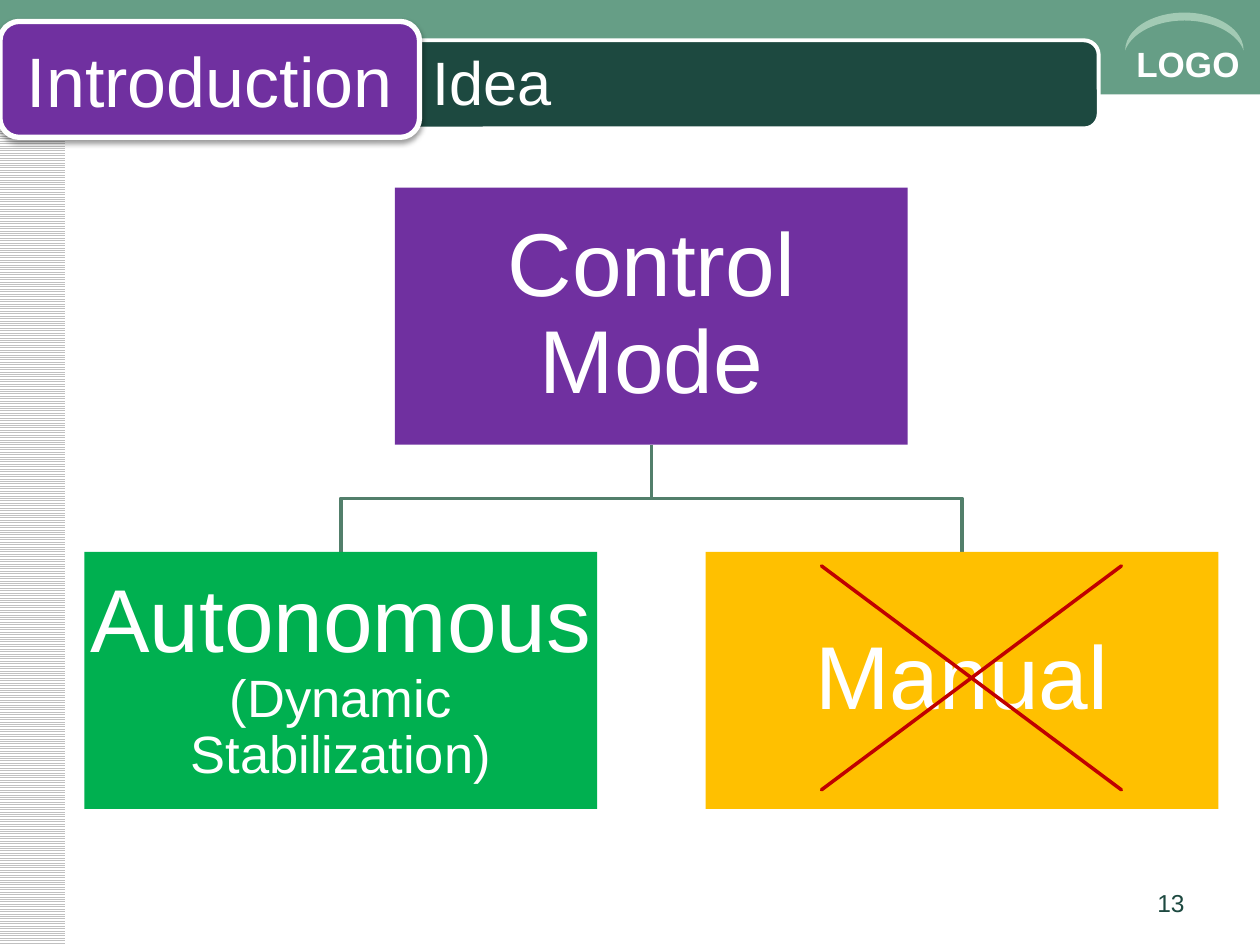
from dataclasses import dataclass

from lxml import etree
from pptx import Presentation
from pptx.dml.color import RGBColor
from pptx.enum.dml import MSO_PATTERN
from pptx.enum.shapes import MSO_SHAPE
from pptx.enum.text import MSO_ANCHOR, PP_ALIGN
from pptx.oxml.ns import qn
from pptx.shapes.autoshape import Shape
from pptx.slide import Slide
from pptx.util import Inches, Pt

RECTANGLE = MSO_SHAPE.RECTANGLE
ROUNDED = MSO_SHAPE.ROUNDED_RECTANGLE
MOON = MSO_SHAPE.MOON
MULTIPLY = MSO_SHAPE.MATH_MULTIPLY
LIGHT_HORIZONTAL = MSO_PATTERN.LIGHT_HORIZONTAL
MIDDLE = MSO_ANCHOR.MIDDLE
TOP = MSO_ANCHOR.TOP
LEFT, CENTER, RIGHT = PP_ALIGN.LEFT, PP_ALIGN.CENTER, PP_ALIGN.RIGHT


@dataclass(frozen=True)
class Theme:
    font: str = "Arial"
    white: str = "FFFFFF"
    stripe: str = "C0C0C0"
    banner: str = "669E86"
    dark: str = "1D4940"
    crescent: str = "A2CAB4"
    branch: str = "527F6B"
    purple: str = "7030A0"
    green: str = "00B050"
    amber: str = "FFC000"
    red: str = "C00000"
    node_size: int = 51
    detail_size: int = 30
    section_size: int = 40
    title_size: int = 35
    logo_size: int = 20
    number_size: int = 14


@dataclass(frozen=True)
class Box:
    left: float
    top: float
    width: float
    height: float

    @property
    def center(self) -> float:
        return self.left + self.width / 2

    @property
    def bottom(self) -> float:
        return self.top + self.height

    def emu(self) -> tuple[int, ...]:
        return tuple(Inches(v) for v in (self.left, self.top, self.width, self.height))


@dataclass(frozen=True)
class Node:
    label: str
    color: str
    box: Box
    detail: str = ""


THEME = Theme()
NODE_WIDTH, NODE_HEIGHT = 4.07, 2.04
CHILD_LEFT, CHILD_STEP = 0.67, 4.93
ROOT_TOP, CHILD_TOP = 1.49, 4.38

ROOT = Node("Control Mode", THEME.purple,
            Box(CHILD_LEFT + CHILD_STEP / 2, ROOT_TOP, NODE_WIDTH, NODE_HEIGHT))
CHILDREN = [
    Node(label, color,
         Box(CHILD_LEFT + i * CHILD_STEP, CHILD_TOP, NODE_WIDTH, NODE_HEIGHT), detail)
    for i, (label, color, detail) in enumerate([
        ("Autonomous", THEME.green, "(Dynamic Stabilization)"),
        ("Manual", THEME.amber, ""),
    ])
]


def rgb(color: str) -> RGBColor:
    return RGBColor.from_string(color)


def add_panel(slide: Slide, kind: MSO_SHAPE, box: Box, color: str,
              line: str = "", line_width: float = 0) -> Shape:
    panel = slide.shapes.add_shape(kind, *box.emu())
    panel.shadow.inherit = False
    panel.fill.solid()
    panel.fill.fore_color.rgb = rgb(color)
    if line:
        panel.line.color.rgb = rgb(line)
        panel.line.width = Pt(line_width)
    else:
        panel.line.fill.background()
    return panel


def write(shape: Shape, text: str, size: int, color: str = THEME.white,
          align: PP_ALIGN = CENTER, anchor: MSO_ANCHOR = MIDDLE, bold: bool = False) -> None:
    frame = shape.text_frame
    frame.word_wrap = True
    frame.vertical_anchor = anchor
    frame.text = text
    paragraph = frame.paragraphs[0]
    paragraph.alignment = align
    paragraph.font.name = THEME.font
    paragraph.font.size = Pt(size)
    paragraph.font.bold = bold
    paragraph.font.color.rgb = rgb(color)


def add_node(slide: Slide, node: Node) -> None:
    panel = add_panel(slide, RECTANGLE, node.box, node.color)
    write(panel, node.label, THEME.node_size)
    frame = panel.text_frame
    frame.margin_left = frame.margin_right = Inches(0.04)
    frame.margin_top = frame.margin_bottom = Inches(0.04)
    paragraph = frame.paragraphs[0]
    paragraph.line_spacing = 0.9
    if node.detail:
        paragraph.add_line_break()
        detail = paragraph.add_run()
        detail.text = node.detail
        detail.font.size = Pt(THEME.detail_size)


def add_branch(slide: Slide, parent: Box, child: Box) -> None:
    middle = (parent.bottom + child.top) / 2
    corners = [(parent.center, middle), (child.center, middle), (child.center, child.top)]
    builder = slide.shapes.build_freeform(Inches(parent.center), Inches(parent.bottom))
    builder.add_line_segments([(Inches(x), Inches(y)) for x, y in corners], close=False)
    branch = builder.convert_to_shape()
    branch.shadow.inherit = False
    branch.fill.background()
    branch.line.color.rgb = rgb(THEME.branch)
    branch.line.width = Pt(2)


def add_drop_shadow(shape: Shape) -> None:
    effects = shape.element.spPr.find(qn("a:effectLst"))
    shadow = etree.SubElement(effects, qn("a:outerShdw"), blurRad=str(Pt(3.1)),
                              dist=str(Pt(1.6)), dir="5400000", rotWithShape="0")
    black = etree.SubElement(shadow, qn("a:srgbClr"), val="000000")
    etree.SubElement(black, qn("a:alpha"), val="38000")


def add_frame(slide: Slide) -> None:
    stripes = add_panel(slide, RECTANGLE, Box(-0.01, 0, 0.53, 7.5), THEME.white)
    stripes.fill.patterned()
    stripes.fill.pattern = LIGHT_HORIZONTAL
    stripes.fill.fore_color.rgb = rgb(THEME.stripe)
    stripes.fill.back_color.rgb = rgb(THEME.white)
    add_panel(slide, RECTANGLE, Box(0, 0, 10.01, 0.75), THEME.banner)
    add_panel(slide, ROUNDED, Box(0.33, 0.32, 8.39, 0.7), THEME.dark, THEME.white, 2.25)
    logo = slide.shapes.add_textbox(*Box(8.92, 0.29, 1.08, 0.43).emu())
    write(logo, "LOGO", THEME.logo_size, align=LEFT, anchor=TOP, bold=True)
    logo.text_frame.word_wrap = False
    crescent = add_panel(slide, MOON, Box(9.25, -0.22, 0.3, 0.94), THEME.crescent)
    crescent.adjustments[0] = 0.21
    crescent.rotation = 90
    number = slide.shapes.add_textbox(*Box(7.17, 7, 2.33, 0.35).emu())
    write(number, "13", THEME.number_size, THEME.dark, RIGHT, TOP)


def add_heading(slide: Slide) -> None:
    title = slide.shapes.title
    title.left, title.top, title.width, title.height = Box(3.33, 0.33, 5.67, 0.62).emu()
    write(title, "Idea", THEME.title_size, align=LEFT)
    title.element.getparent().append(title.element)
    section = add_panel(slide, ROUNDED, Box(0, 0.17, 3.33, 0.92), THEME.purple, THEME.white, 3)
    add_drop_shadow(section)
    write(section, "Introduction", THEME.section_size)


def main() -> None:
    deck = Presentation()
    deck.slide_width, deck.slide_height = Inches(10), Inches(7.5)
    slide = deck.slides.add_slide(deck.slide_layouts[5])
    add_frame(slide)
    for child in reversed(CHILDREN):
        add_branch(slide, ROOT.box, child.box)
    for node in [ROOT, *CHILDREN]:
        add_node(slide, node)
    add_heading(slide)
    cross = add_panel(slide, MULTIPLY, Box(5.42, 3.67, 4.58, 3.42), THEME.red, THEME.red, 2)
    cross.adjustments[0] = 0
    deck.save("out.pptx")


if __name__ == "__main__":
    main()
